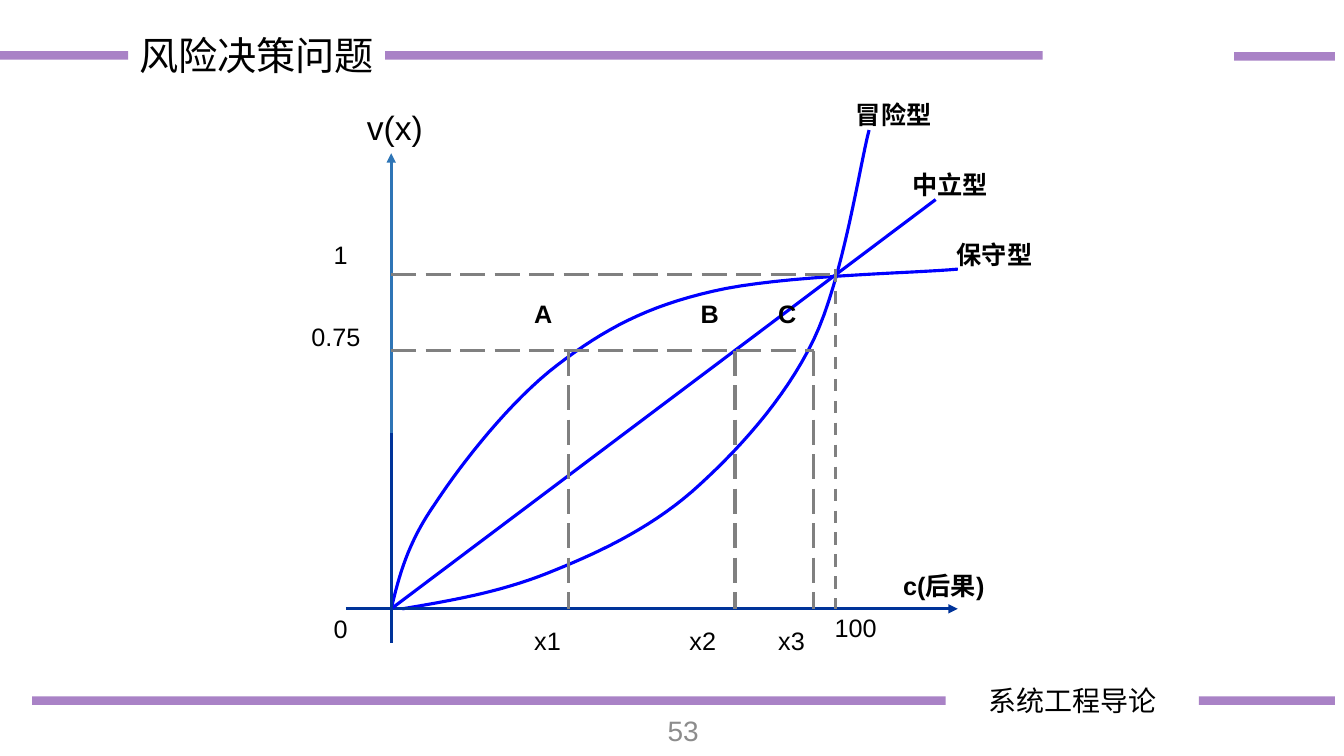
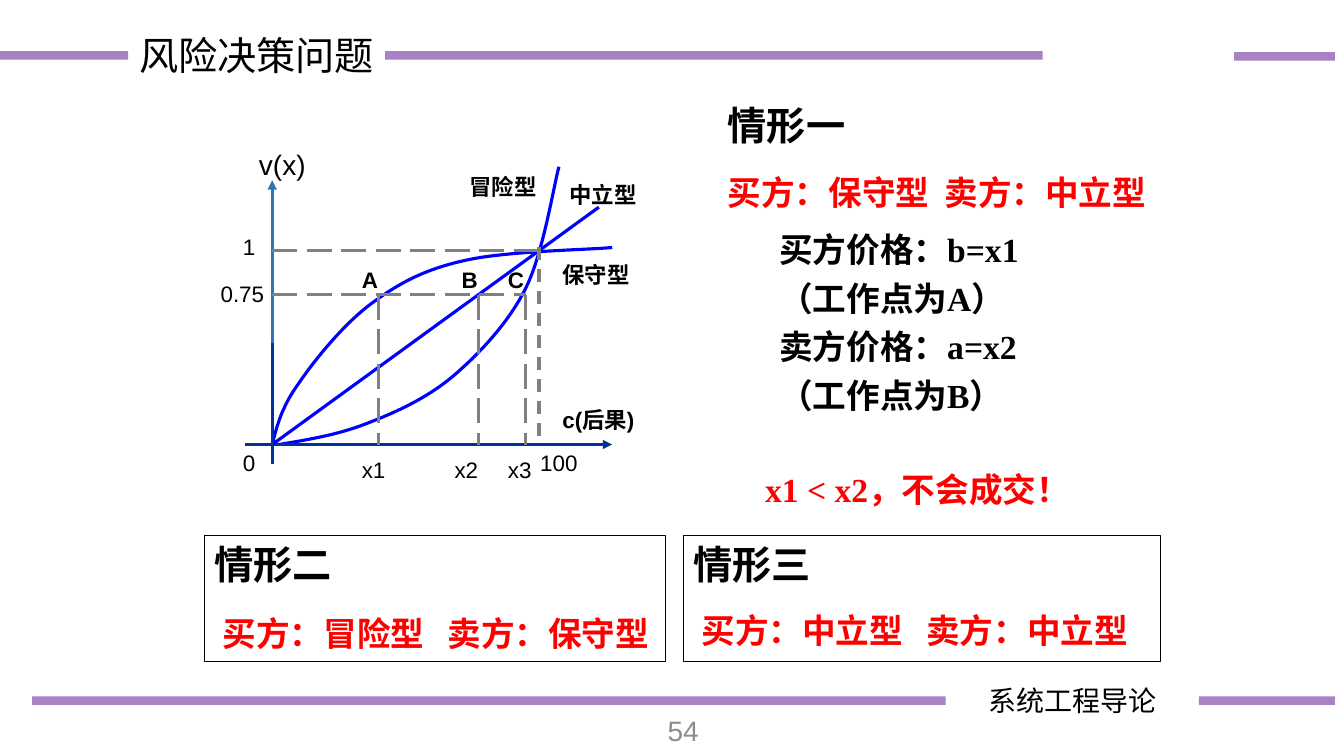
from lxml import etree
from pptx import Presentation
from pptx.dml.color import RGBColor
from pptx.enum import dml, shapes, text
from pptx.oxml import ns
from pptx.util import Inches, Pt

COLORS = {"band": "7030A0", "axis": "003399", "value_axis": "2E75B6",
          "curve": "0000FF", "guide": "808080", "black": "000000",
          "red": "FF0000", "number": "8C8C8C"}
CJK = "Noto Sans CJK SC"
SERIF = "Times New Roman"
DASH, LONG_DASH = dml.MSO_LINE.DASH, dml.MSO_LINE.LONG_DASH

# Shared frame
TITLE = "风险决策问题"
COURSE = "系统工程导论"
BANDS = [(0, 1.27, 0.55), (3.82, 10.34, 0.55), (12.24, 13.24, 0.56),
         (0.32, 9.38, 6.95), (11.89, 13.24, 6.95)]  # left, right, y

# Utility chart: geometry at full size, origin where the axes cross
ORIGIN = (3.88, 6.04)
RISK_CURVE = [(3.99, 6.04), (4.46, 5.96), (4.94, 5.88), (5.42, 5.69),
              (5.9, 5.5), (6.42, 5.26), (6.86, 4.88),
              (7.3, 4.49), (7.78, 3.97), (8.07, 3.37),
              (8.36, 2.77), (8.53, 1.63), (8.62, 1.29)]
CAUTIOUS_CURVE = [(3.88, 6.04), (3.96, 5.71), (4.04, 5.39), (4.32, 4.99),
                  (4.59, 4.58), (5.07, 3.97), (5.53, 3.62),
                  (5.99, 3.27), (6.41, 3.04), (7.07, 2.89),
                  (7.74, 2.73), (9.1, 2.71), (9.5, 2.67)]
CHART_LINES = [  # start, end, colour, dash, arrow
    ((3.43, 6.04), (9.5, 6.04), "axis", None, True),
    (ORIGIN, (3.88, 1.52), "value_axis", None, True),
    (ORIGIN, (9.28, 1.98), "curve", None, False),
    ((8.29, 2.67), (8.29, 6.04), "guide", DASH, False),
    ((3.88, 4.3), (3.88, 6.38), "axis", None, False),
    ((3.88, 2.72), (8.29, 2.72), "guide", LONG_DASH, False),
    ((3.88, 3.48), (8.07, 3.48), "guide", LONG_DASH, False),
] + [((x, 3.48), (x, 6.04), "guide", LONG_DASH, False)
     for x in (5.64, 7.29, 8.07)]
BOLD_LABELS = {"c(后果)", "冒险型", "中立型", "保守型", "A", "B", "C"}

# Each chart: origin, scale, text sizes and label corners
LARGE_CHART = {
    "origin": ORIGIN, "scale": (1, 1), "size": 18, "heading_size": 24,
    "labels": {"v(x)": (3.54, 1.01), "c(后果)": (8.86, 5.61),
               "0": (3.21, 6.04), "1": (3.21, 2.33), "0.75": (2.99, 3.14),
               "100": (8.18, 6.03), "冒险型": (8.39, 0.94),
               "中立型": (8.95, 1.63), "保守型": (9.39, 2.33),
               "A": (5.2, 2.91), "B": (6.85, 2.91), "C": (7.62, 2.91),
               "x1": (5.2, 6.15), "x2": (6.74, 6.15), "x3": (7.62, 6.15)}}
SMALL_CHART = {
    "origin": (2.7, 4.41), "scale": (0.6, 0.58), "size": 16, "heading_size": 20,
    "labels": {"v(x)": (2.47, 1.41), "c(后果)": (5.48, 3.98),
               "0": (2.31, 4.41), "1": (2.31, 2.26), "0.75": (2.09, 2.73),
               "100": (5.26, 4.41), "冒险型": (4.56, 1.67),
               "中立型": (5.55, 1.75), "保守型": (5.48, 2.54),
               "A": (3.49, 2.59), "B": (4.48, 2.59), "C": (4.94, 2.59),
               "x1": (3.49, 4.48), "x2": (4.41, 4.48), "x3": (4.94, 4.48)}}

# Cases: heading and parties, each with its left and top; tab between parties
CASES = [
    {"heading": ("情形一", 7.12, 0.96), "tab": 2.15,
     "parties": ("买方：保守型\t卖方：中立型", 7.12, 1.66)},
    {"heading": ("情形二", 2.03, 5.31), "tab": 2.23, "frame_width": 4.57,
     "parties": ("买方：冒险型\t卖方：保守型", 2.11, 6.03)},
    {"heading": ("情形三", 6.78, 5.31), "tab": 2.23, "frame_width": 4.73,
     "parties": ("买方：中立型\t卖方：中立型", 6.86, 6)},
]
PRICES = ["买方价格：b=x1", "（工作点为A）", "卖方价格：a=x2", "（工作点为B）"]
VERDICT = "x1 < x2，不会成交！"


def rgb(name):
    return RGBColor.from_string(COLORS[name])


def add_element(parent, tag, **attributes):
    return etree.SubElement(parent, ns.qn(tag), attributes)


def fill_text(frame, content, size=18, font="Arial", color="black", bold=False,
              align=text.PP_ALIGN.LEFT, anchor=text.MSO_ANCHOR.TOP, tab=None):
    frame.word_wrap = True
    frame.auto_size = text.MSO_AUTO_SIZE.NONE
    frame.vertical_anchor = anchor
    lines = [content] if isinstance(content, str) else content
    for index, line in enumerate(lines):
        para = frame.add_paragraph() if index else frame.paragraphs[0]
        para.alignment = align
        para.space_before = Pt(6 if index else 0)
        if tab:
            stops = add_element(para._p.get_or_add_pPr(), "a:tabLst")
            add_element(stops, "a:tab", pos=str(Inches(tab)), algn="l")
        span = para.add_run()
        span.text = line
        span.font.size, span.font.bold = Pt(size), bold
        span.font.color.rgb = rgb(color)
        span.font.name = font
        add_element(span._r.get_or_add_rPr(), "a:ea", typeface=CJK)


def add_text(page, content, left, top, width, height, **style):
    box = page.shapes.add_textbox(*map(Inches, (left, top, width, height)))
    fill_text(box.text_frame, content, **style)


def add_line(page, start, end, color, width=2.25, dash=None, arrow=False,
             opacity=None):
    line = page.shapes.add_connector(shapes.MSO_CONNECTOR.STRAIGHT,
                                     *map(Inches, (*start, *end)))
    line.line.width = Pt(width)
    line.line.color.rgb = rgb(color)
    if dash:
        line.line.dash_style = dash
    properties = line._element.spPr
    if opacity:
        shade = properties.find(".//" + ns.qn("a:srgbClr"))
        add_element(shade, "a:alpha", val=str(opacity * 1000))
    if arrow:
        add_element(line.line._get_or_add_ln(), "a:tailEnd", type="triangle")
    add_element(properties, "a:effectLst")


def add_outline(shape, color, width):
    shape.shadow.inherit = False
    shape.fill.background()
    shape.line.color.rgb = rgb(color)
    shape.line.width = Pt(width)


def curve_points(controls, steps=16):
    """Points along a chain of cubic Bezier segments."""
    points = [controls[0]]
    for first in range(0, len(controls) - 1, 3):
        segment = controls[first:first + 4]
        for step in range(1, steps + 1):
            t = step / steps
            weights = ((1 - t) ** 3, 3 * t * (1 - t) ** 2,
                       3 * t * t * (1 - t), t ** 3)
            points.append(tuple(sum(w * p[axis] for w, p in zip(weights, segment))
                                for axis in (0, 1)))
    return points


def add_chart_drawing(page, chart):
    def place(point):
        return tuple(new + (value - old) * scale for value, old, new, scale
                     in zip(point, ORIGIN, chart["origin"], chart["scale"]))

    for controls in (RISK_CURVE, CAUTIOUS_CURVE):
        points = [tuple(map(Inches, place(p))) for p in curve_points(controls)]
        builder = page.shapes.build_freeform(*points[0])
        builder.add_line_segments(points[1:], close=False)
        add_outline(builder.convert_to_shape(), "curve", 2.25)
    for start, end, color, dash, arrow in CHART_LINES:
        add_line(page, place(start), place(end), color, dash=dash, arrow=arrow)
    for label, (left, top) in chart["labels"].items():
        size = chart["heading_size" if label == "v(x)" else "size"]
        add_text(page, label, left, top, 1.8, 0.4, size=size,
                 bold=label in BOLD_LABELS)


def add_case(page, case):
    heading, left, top = case["heading"]
    add_text(page, heading, left, top, 4.17, 0.57, size=28, font=SERIF, bold=True)
    add_text(page, *case["parties"], 4.6, 0.5, size=24, font=SERIF,
             color="red", bold=True, tab=case["tab"])
    if "frame_width" in case:
        frame = page.shapes.add_shape(
            shapes.MSO_SHAPE.RECTANGLE,
            *map(Inches, (left, top, case["frame_width"], 1.25)))
        add_outline(frame, "black", 0.75)


def add_page(deck, number):
    page = deck.slides.add_slide(deck.slide_layouts[5])
    title = page.shapes.title
    title.left, title.top, title.width, title.height = map(
        Inches, (1.22, 0.26, 2.65, 0.57))
    fill_text(title.text_frame, TITLE, size=28, font=CJK,
              align=text.PP_ALIGN.CENTER)
    for left, right, y in BANDS:
        add_line(page, (left, y), (right, y), "band", width=6, opacity=60)
    add_text(page, COURSE, 9.38, 6.73, 2.51, 0.44, size=20, font=CJK,
             align=text.PP_ALIGN.CENTER)
    add_text(page, str(number), 6.3, 7.05, 0.73, 0.4, size=20, color="number",
             align=text.PP_ALIGN.RIGHT, anchor=text.MSO_ANCHOR.MIDDLE)
    return page


def main():
    deck = Presentation()
    deck.slide_width, deck.slide_height = Inches(13.33), Inches(7.5)

    # Utility curves
    add_chart_drawing(add_page(deck, 53), LARGE_CHART)

    # Trading cases
    page = add_page(deck, 54)
    add_chart_drawing(page, SMALL_CHART)
    for case in CASES:
        add_case(page, case)
    add_text(page, PRICES, 7.63, 2.22, 3.47, 2.32, size=24, font=SERIF, bold=True)
    add_text(page, VERDICT, 7.49, 4.6, 3.43, 0.5, size=24, font=SERIF,
             color="red", bold=True)

    deck.save("out.pptx")


if __name__ == "__main__":
    main()
